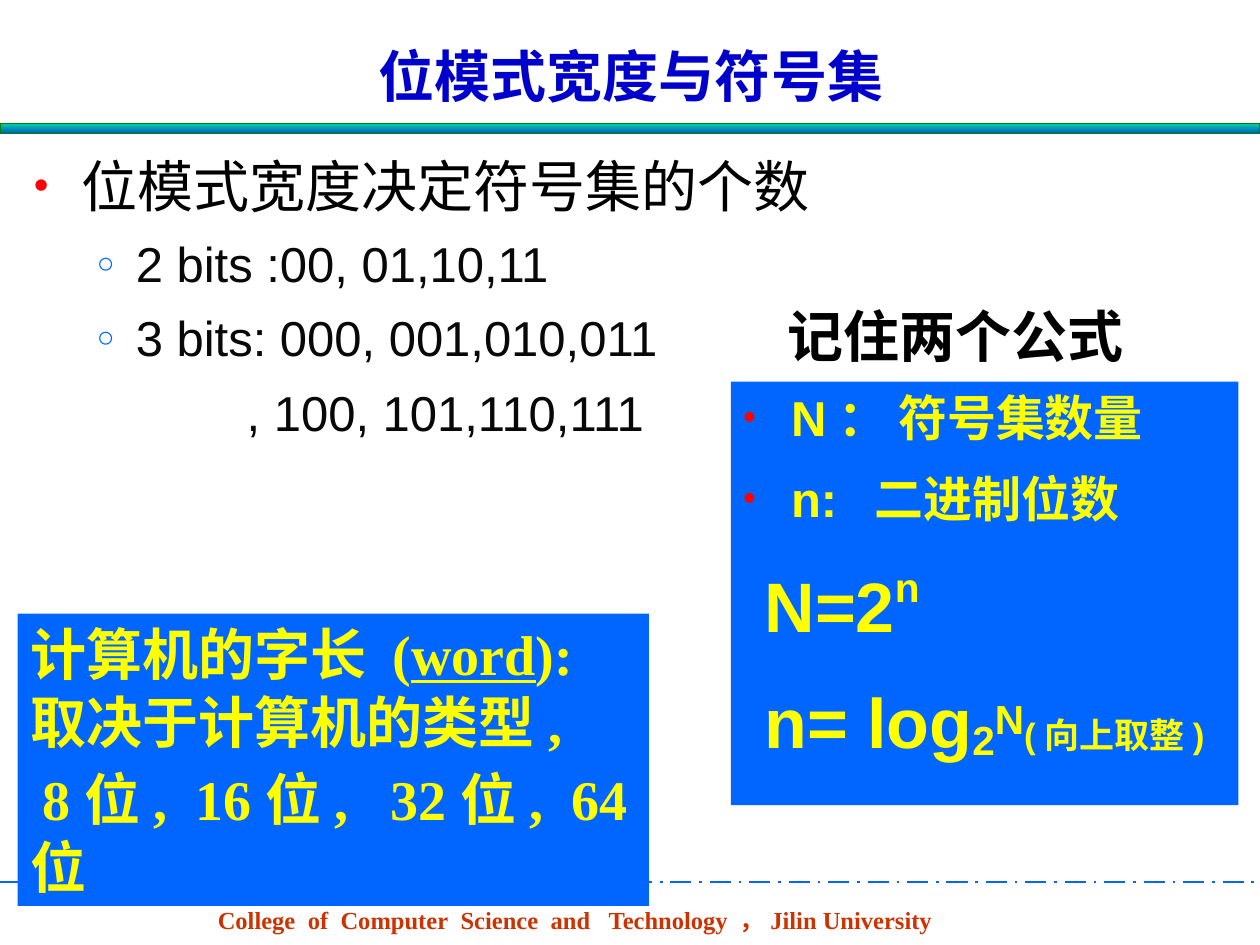
import pptx
import pptx.util
import pptx.dml.color
import pptx.enum.dml
import pptx.enum.shapes
import pptx.enum.text
import lxml.etree
import pptx.oxml.ns

Pt = pptx.util.Pt
SHAPE = pptx.enum.shapes.MSO_SHAPE
ALIGN = pptx.enum.text.PP_ALIGN

COLS, ROWS = 100, 75
WIDE, HIGH = pptx.util.Inches(10), pptx.util.Inches(7.5)
CELL = WIDE / COLS

HUES = {
    "title": "0000CC", "ink": "000000", "soft": "080808", "foot": "CC3300",
    "blue": "0066FF", "yellow": "FFFF00", "red": "FF0000",
    "teal": "03D4A8", "deep": "005CBF", "green": "008000",
}
DOT = ("•", "red", 75)
RING = ("○", "blue", 60)
# A space drawn two or three times as wide.
TWO = (" ", dict(gap=2))
THREE = (" ", dict(gap=3))

# Places are left, top, width, height in grid cells; so are indents.
FOOT = [dict(text=["College", TWO, "of", TWO, "Computer", TWO, "Science", TWO,
                   "and", THREE, "Technology ，Jilin University"])]
TITLE = [dict(text="位模式宽度与符号集", align=ALIGN.CENTER)]
HEAD = [dict(text="记住两个公式")]

SUB = dict(size=28, hue="soft", before=8.8)
ITEM = dict(SUB, left=8.1, hang=-3.1, mark=RING)
BITS = [
    dict(text="位模式宽度决定符号集的个数", left=3.8, hang=-3.8, mark=DOT),
    dict(ITEM, text="2 bits :00, 01,10,11"),
    dict(ITEM, text="3 bits: 000, 001,010,011"),
    dict(SUB, text=", 100, 101,110,111", left=16.9),
]

TERM = dict(size=28, left=3.8, hang=-3.8, before=8.8, after=3.5, mark=DOT)
RULE = dict(size=40, left=1.7, after=5)
SUMS = [
    dict(TERM, text="N： 符号集数量"),
    dict(TERM, text=["n:", TWO, "二进制位数"]),
    dict(RULE, text=["N=2", ("n", dict(base=42))], before=16.5),
    dict(RULE, text=["n= log", ("2", dict(base=-10)), ("N", dict(base=20)),
                     ("(向上取整)", dict(size=20))], before=13.5),
]
WORD = [
    dict(text=["计算机的字长 (", ("word", dict(line=True)), "):\v取决于计算机的类型,"]),
    dict(text=["8位,", TWO, "16位,", THREE, "32位,", TWO, "64位"], hang=1, before=6),
]

deck = pptx.Presentation()
deck.slide_width, deck.slide_height = WIDE, HIGH
page = deck.slides.add_slide(deck.slide_layouts[6])


def cells(*nums):
    return [round(num * CELL) for num in nums]


def paint(color, name):
    color.rgb = pptx.dml.color.RGBColor.from_string(HUES[name])


def add(node, tag, **atts):
    return lxml.etree.SubElement(node, pptx.oxml.ns.qn(tag), atts)


def layout(para, left, hang, mark):
    """Set the indents and bullet of a paragraph."""
    props = para._p.get_or_add_pPr()
    for key, num in zip(("marL", "indent"), cells(left, hang)):
        props.set(key, str(num))
    if mark:
        sign, hue, size = mark
        add(add(props, "a:buClr"), "a:srgbClr", val=HUES[hue])
        add(props, "a:buSzPct", val=str(size * 1000))
        add(props, "a:buFont", typeface="Arial")
        add(props, "a:buChar", char=sign)


def style(run, face, size, hue, bold, line=None, base=0, gap=1):
    font = run.font
    font.name, font.size, font.bold, font.underline = face, Pt(size), bold, line
    paint(font.color, hue)
    props = run._r.get_or_add_rPr()
    if base:
        props.set("baseline", str(base * 1000))
    if gap > 1:  # a space is a quarter of the size; spc is in 1/100 pt
        props.set("spc", str((gap - 1) * size * 25))


def put(para, text, face="Arial", size=32, hue="ink", bold=False, align=None,
        left=0, hang=0, mark=None, before=0, after=0):
    """Write text, a string or a list of runs, into a paragraph."""
    layout(para, left, hang, mark)
    para.space_before, para.space_after = Pt(before), Pt(after)
    para.alignment = align or ALIGN.LEFT
    for part in [text] if isinstance(text, str) else text:
        words, extra = (part, {}) if isinstance(part, str) else part
        form = dict(dict(face=face, size=size, hue=hue, bold=bold), **extra)
        for row, chunk in enumerate(words.split("\v")):
            if row:
                para.add_line_break()
            run = para.add_run()
            run.text = chunk
            style(run, **form)


def fill(shape, paras, **form):
    """Write all paragraphs of one box, from its top."""
    frame = shape.text_frame
    frame.word_wrap = True
    frame.vertical_anchor = pptx.enum.text.MSO_ANCHOR.TOP
    for num, item in enumerate(paras):
        para = frame.add_paragraph() if num else frame.paragraphs[0]
        item = dict(form, **item)
        if not num:
            item["before"] = 0
        put(para, **item)


def label(place, paras, **form):
    fill(page.shapes.add_textbox(*cells(*place)), paras, **form)


def block(place):
    shape = page.shapes.add_shape(SHAPE.RECTANGLE, *cells(*place))
    shape.shadow.inherit = False
    return shape


def panel(place, paras, **form):
    shape = block(place)
    shape.fill.solid()
    paint(shape.fill.fore_color, "blue")
    shape.line.fill.background()
    fill(shape, paras, hue="yellow", bold=True, **form)


label((16.3, 71.3, 59.2, 3.4), FOOT, face="Times New Roman", size=14, hue="foot", bold=True)

rule = page.shapes.add_connector(pptx.enum.shapes.MSO_CONNECTOR.STRAIGHT,
                                 *cells(0, 70, COLS, 70))
rule.line.width = Pt(1.5)
rule.line.dash_style = pptx.enum.dml.MSO_LINE.LONG_DASH_DOT
paint(rule.line.color, "blue")
add(rule._element.spPr, "a:effectLst")

band = block((0, 9.8, COLS, 0.8))
band.fill.gradient()
band.fill.gradient_angle = 270
for stop, name in zip(band.fill.gradient_stops, ("teal", "deep")):
    paint(stop.color, name)
band.line.width = Pt(0.75)
paint(band.line.color, "green")

label((7.6, 2.8, 85, 6.2), TITLE, hue="title", bold=True)
label((1.7, 11.5, 69.6, 25.2), BITS)
label((61.5, 23.4, 33.3, 8.5), HEAD, bold=True)
panel((58, 30.3, 40.3, 33.6), SUMS)
panel((1.4, 48.7, 50.1, 23.2), WORD, face="Times New Roman")

deck.save("out.pptx")
